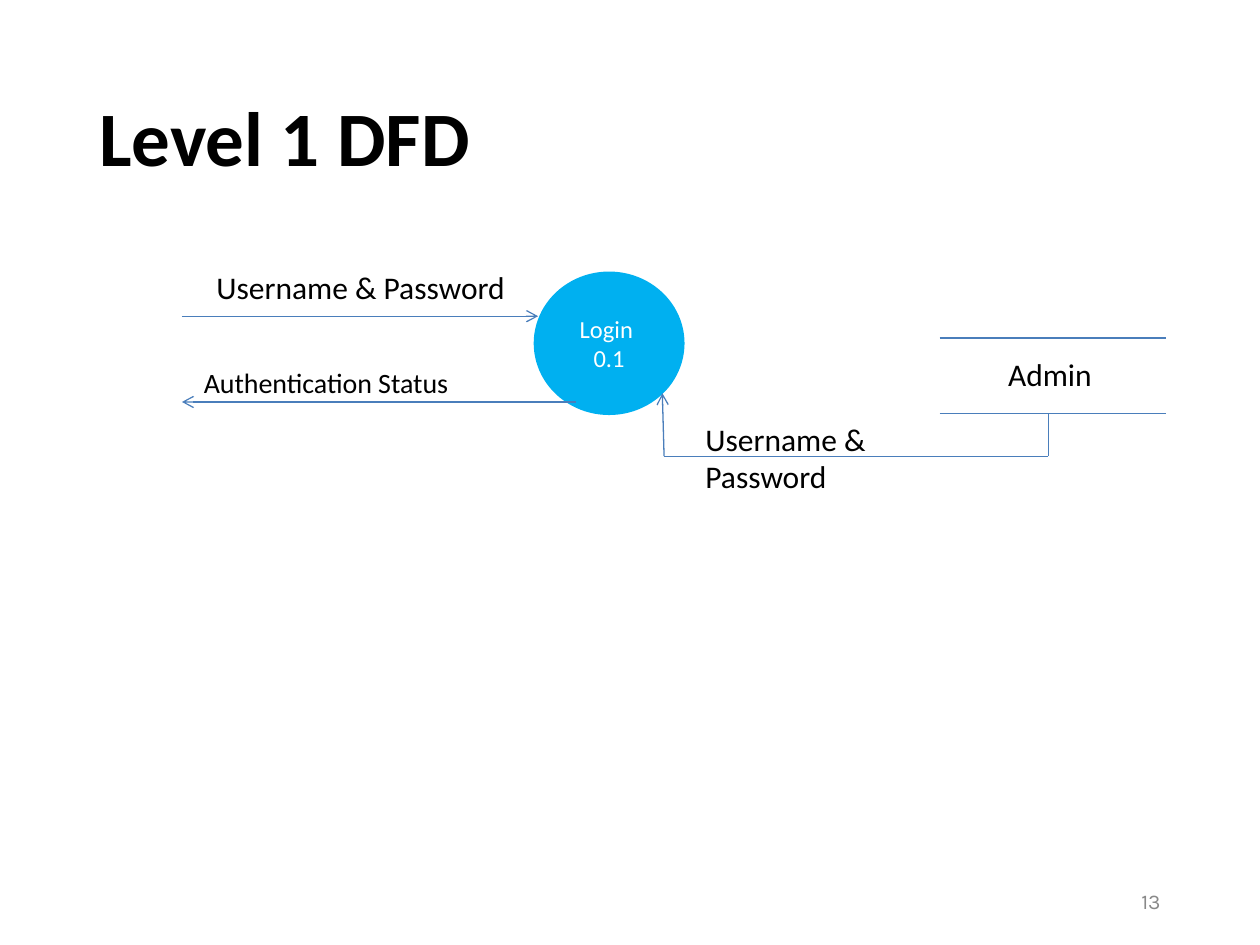
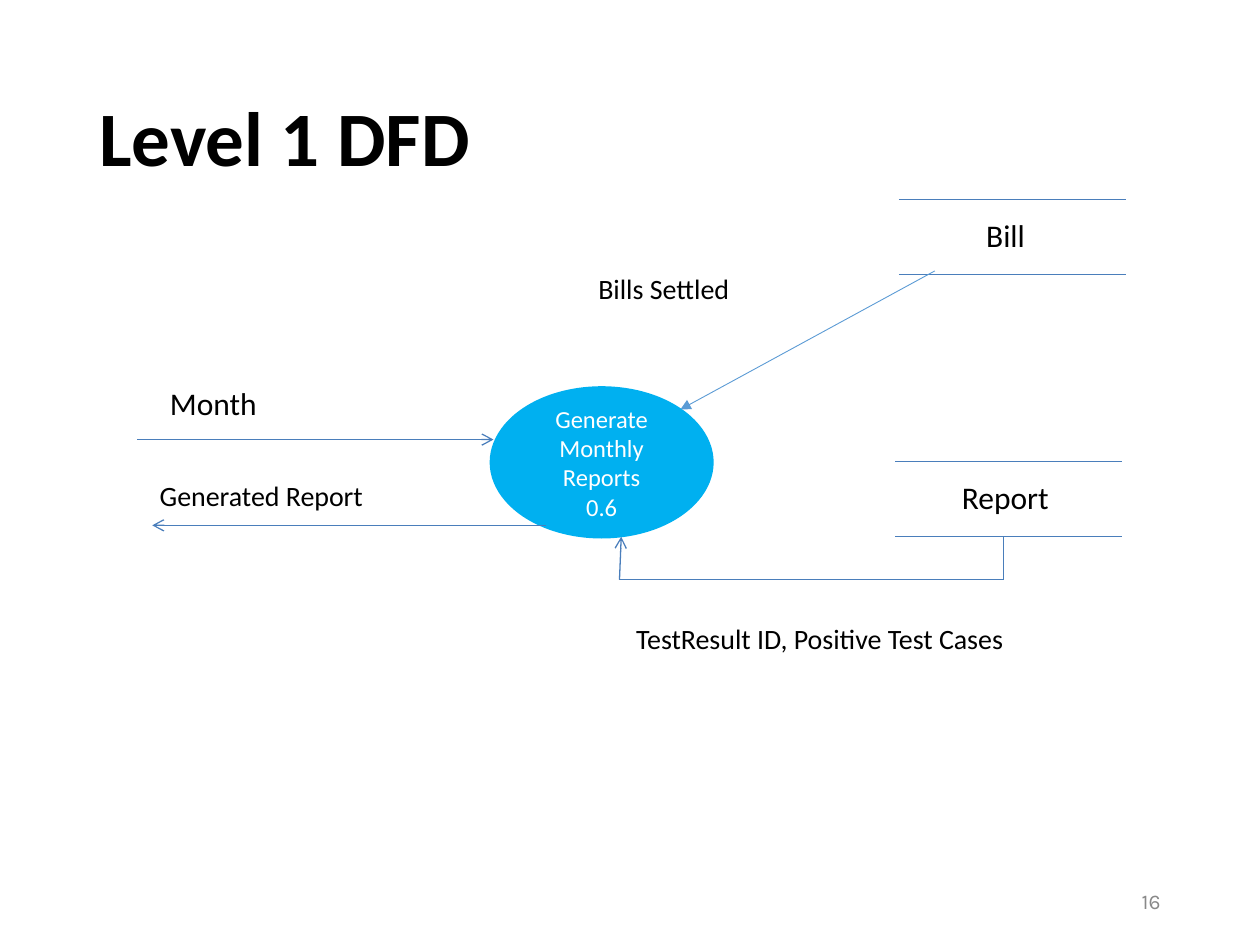
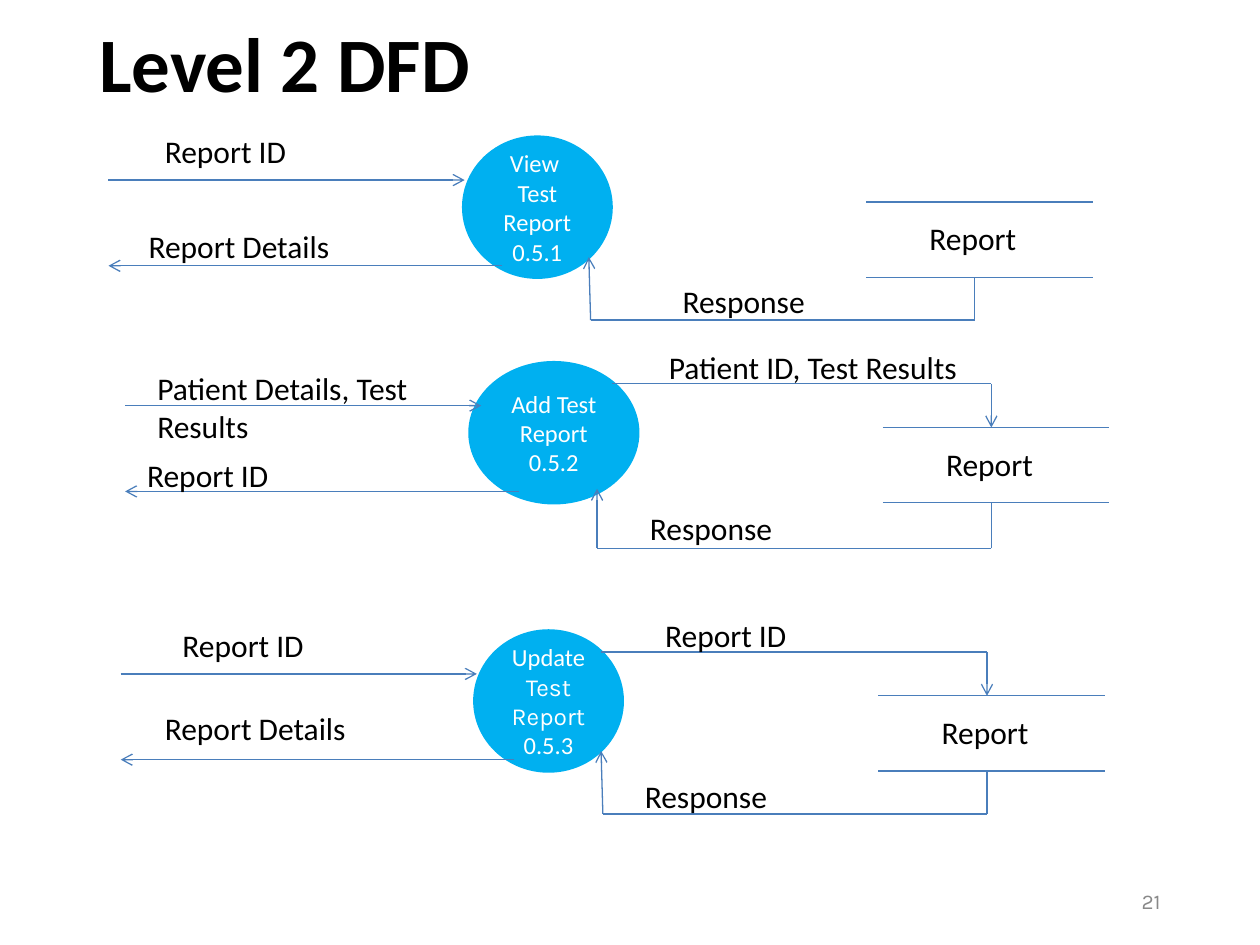
from pptx import Presentation
from pptx.dml.color import RGBColor
from pptx.enum.shapes import MSO_CONNECTOR as LineKind, MSO_SHAPE as Preset
from pptx.enum.text import MSO_ANCHOR as Anchor, PP_ALIGN as Align
from pptx.oxml.ns import qn
from pptx.util import Pt
from lxml.etree import SubElement

COLORS = {
    "text": "000000", "page": "898989", "process": "00B0F0",
    "on_process": "FFFFFF", "flow": "4A7EBB", "bill_flow": "5B9BD5",
}
BODY, ALTERNATE = "Calibri", "Karla"

# Offsets shared by all diagrams: across from the left end of the flows,
# and up or down from the base that process and data store stand on
INPUT_LENGTH, OUTPUT_LENGTH = 203.5, 225
STORE_OFFSET, STORE_WIDTH, STORE_HEIGHT = 433, 129.5, 43
STORE_LINK, RETURN_REACH = 62, 157.5
INPUT_RISE, OUTPUT_RISE, QUERY_RISE = 55.5, 6.5, 68
RETURN_DROP, TIP_RISE = 24.5, 11.5


def rgb(name):
    return RGBColor.from_string(COLORS[name])


def style_font(font, size, color="text", name=BODY, bold=False):
    values = {"size": Pt(size), "name": name, "bold": bold}
    for key, value in values.items():
        setattr(font, key, value)
    font.color.rgb = rgb(color)


def add_text(slide, text, x, y, width, height=28.8, size=18, color="text",
             name=BODY, bold=False, anchor=Anchor.TOP, **paragraph_format):
    frame = slide.shapes.add_textbox(
        Pt(x), Pt(y), Pt(width), Pt(height)).text_frame
    frame.word_wrap = True
    frame.vertical_anchor = anchor
    paragraph = frame.paragraphs[0]
    for key, value in paragraph_format.items():
        setattr(paragraph, key, value)
    run = paragraph.add_run()
    run.text = text
    style_font(run.font, size, color, name, bold)


def add_flow(slide, start, end, head=None, color="flow", width=0.75):
    flow = slide.shapes.add_connector(
        LineKind.STRAIGHT, *(Pt(value) for value in (*start, *end)))
    flow.line.color.rgb = rgb(color)
    flow.line.width = Pt(width)
    if head:
        SubElement(flow.line._get_or_add_ln(), qn("a:tailEnd"), type=head)
    SubElement(flow._element.spPr, qn("a:effectLst"))


def add_path(slide, points, head="arrow"):
    """Chain of straight flows with an arrowhead on the last one."""
    for start, end in zip(points, points[1:]):
        add_flow(slide, start, end, head if end == points[-1] else None)


def add_process(slide, lines, x, base, width, height):
    """Each line is a list of (text, font name) runs."""
    process = slide.shapes.add_shape(
        Preset.FLOWCHART_CONNECTOR, Pt(x), Pt(base - height),
        Pt(width), Pt(height))
    process.shadow.inherit = False
    process.fill.solid()
    process.fill.fore_color.rgb = rgb("process")
    process.line.color.rgb = rgb("process")
    process.line.width = Pt(2)
    frame = process.text_frame
    frame.word_wrap = True
    frame.vertical_anchor = Anchor.MIDDLE
    for index, line in enumerate(lines):
        paragraph = frame.add_paragraph() if index else frame.paragraphs[0]
        paragraph.alignment = Align.CENTER
        for text, name in line:
            run = paragraph.add_run()
            run.text = text
            style_font(run.font, 14, "on_process", name)


def add_store(slide, name, x, base):
    for y in (base - STORE_HEIGHT, base):
        add_flow(slide, (x, y), (x + STORE_WIDTH, y))
    add_text(slide, name, x + 1, base - STORE_HEIGHT + 6.2, 124,
             alignment=Align.CENTER)


def add_diagram(slide, x, base, process, process_x, store, labels,
                width=84.2, height=80, output_shift=0, reach=RETURN_REACH,
                lean=-1, drop=RETURN_DROP, tip_rise=TIP_RISE, query_x=None):
    """One process with its input, output, data store and return flow."""
    add_process(slide, process, process_x, base, width, height)
    store_x = x + STORE_OFFSET
    link_x, corner_x = store_x + STORE_LINK, store_x - reach
    output_x = x + output_shift

    input_y, output_y = base - INPUT_RISE, base - OUTPUT_RISE
    add_flow(slide, (x, input_y), (x + INPUT_LENGTH, input_y), "arrow")
    add_flow(slide, (output_x + OUTPUT_LENGTH, output_y),
             (output_x, output_y), "arrow")
    add_store(slide, store, store_x, base)
    add_path(slide, [(link_x, base), (link_x, base + drop),
                     (corner_x, base + drop),
                     (corner_x + lean, base - tip_rise)])
    if query_x:
        query_y = base - QUERY_RISE
        add_path(slide, [(query_x, query_y), (link_x, query_y),
                         (link_x, base - STORE_HEIGHT)])

    for text, label_x, label_y, label_width, size in labels:
        add_text(slide, text, label_x, label_y, label_width, size=size)


def add_page(deck, title, number, title_y=28.8):
    slide = deck.slides.add_slide(deck.slide_layouts[6])
    add_text(slide, title, 49.7, title_y, 621.4, 104.4, 44, bold=True,
             anchor=Anchor.MIDDLE, line_spacing=0.9)
    add_text(slide, str(number), 508.3, 500.4, 162, 28.8, 12, "page",
             ALTERNATE, anchor=Anchor.MIDDLE, alignment=Align.RIGHT)
    return slide


def add_login(deck):
    slide = add_page(deck, "Level 1 DFD", 13)
    add_diagram(
        slide, 104, 236.2, [[("Login ", BODY)], [("0.1", BODY)]], 306,
        "Admin",
        [("Username & Password", 116.6, 149.8, 196.6, 18),
         ("Authentication Status", 109.4, 205.2, 230.4, 16),
         ("Username & Password", 396, 236.2, 134.6, 18)])


def add_monthly_reports(deck):
    slide = add_page(deck, "Level 1 DFD", 16)
    add_diagram(
        slide, 78.5, 306.7,
        [[("Generate Monthly Reports", BODY)], [("0.6", BODY)]], 280.8,
        "Report",
        [("Month", 90, 216, 196.6, 18),
         ("Generated Report", 84.2, 270, 230.4, 16),
         ("TestResult ID, Positive Test Cases", 356.4, 351.4, 230.4, 16),
         ("Bills Settled", 334.8, 151.9, 230.4, 16)],
        width=126, height=85, output_shift=8.5, lean=1, tip_rise=0)
    # Second data store with its own flow
    add_store(slide, "Bill ", 513.7, 157)
    add_flow(slide, (534.2, 154.8), (388.8, 234), "triangle",
             "bill_flow", 0.5)


def add_test_reports(deck):
    slide = add_page(deck, "Level 2 DFD", 21, -13.7)
    # View
    add_diagram(
        slide, 62, 158.4,
        [[("View ", BODY)], [("Test Report", BODY)], [("0.5.1", BODY)]],
        265, "Report ",
        [("Report ID", 87.1, 72, 196.6, 18),
         ("Report Details", 77.8, 126, 230.4, 18),
         ("Response", 383, 157.7, 134.6, 18)])
    # Add
    add_diagram(
        slide, 71.5, 287.3, [[("Add Test Report", BODY)], [("0.5.2", BODY)]],
        268.6, "Report ",
        [("Patient Details, Test Results", 82.8, 207.4, 196.6, 18),
         ("Report ID", 77, 257, 230.4, 18),
         ("Patient ID, Test Results", 375.1, 195.1, 225.4, 18),
         ("Response", 364.3, 287.3, 134.6, 18)],
        width=95.8, reach=163.3, lean=0, drop=26, tip_rise=8, query_x=350)
    # Update
    add_diagram(
        slide, 69, 440.6,
        [[("Update", BODY)], [("Test Report ", ALTERNATE), ("0.5.3", BODY)]],
        271.4, "Report ",
        [("Report ID", 97.2, 354.2, 196.6, 18),
         ("Report Details", 87.1, 401.8, 230.4, 18),
         ("Report ID", 373, 348.5, 225.4, 18),
         ("Response", 361.4, 440.6, 134.6, 18)],
        query_x=343.5)


def main():
    deck = Presentation()
    deck.slide_width, deck.slide_height = Pt(720), Pt(540)
    add_login(deck)
    add_monthly_reports(deck)
    add_test_reports(deck)
    deck.save("out.pptx")


if __name__ == "__main__":
    main()
